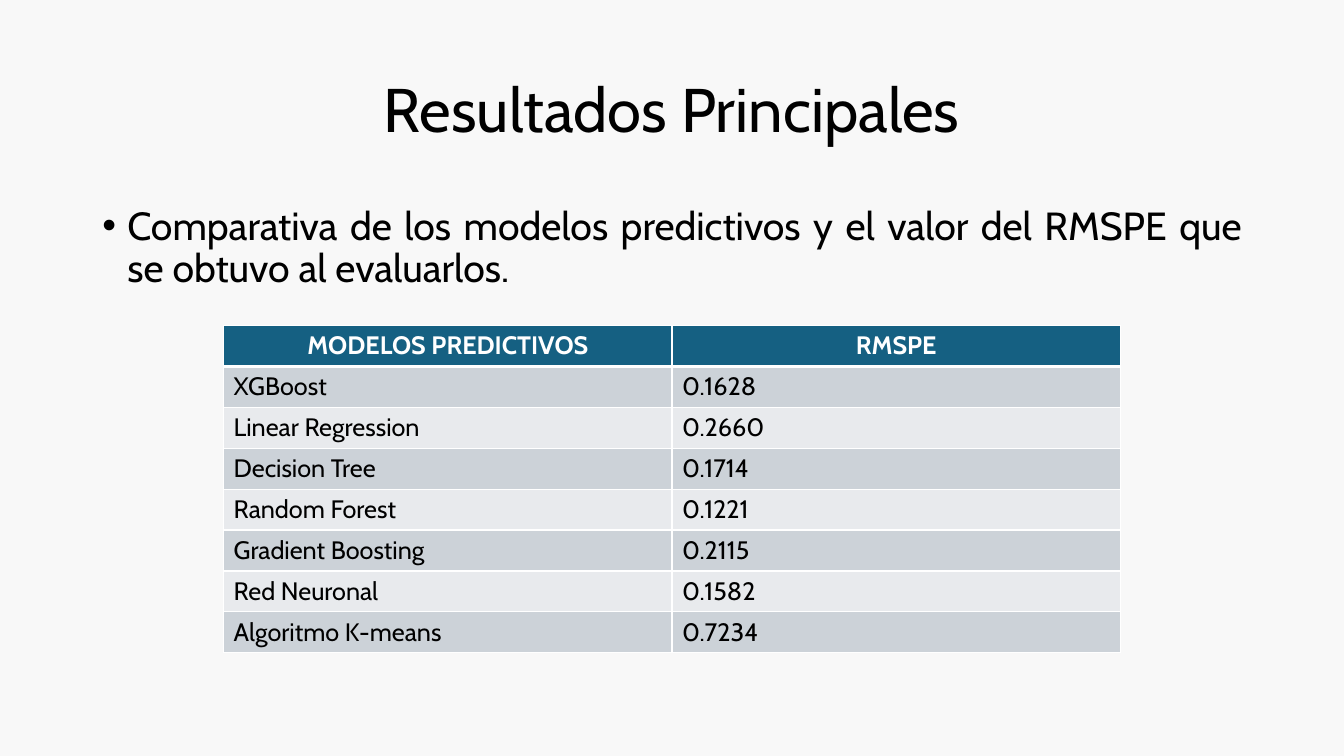
from lxml.etree import SubElement
from pptx import Presentation
from pptx.dml.color import RGBColor
from pptx.enum.text import MSO_ANCHOR, PP_ALIGN
from pptx.oxml.ns import qn
from pptx.util import Pt

PX = 9525
BLACK = RGBColor(0x00, 0x00, 0x00)
WHITE = RGBColor(0xFF, 0xFF, 0xFF)
PAPER = RGBColor(0xF8, 0xF8, 0xF8)
TEAL = RGBColor(0x15, 0x60, 0x82)
DARK = RGBColor(0xCC, 0xD2, 0xD8)
LIGHT = RGBColor(0xE8, 0xEA, 0xED)


def write(frame, text, size=18, color=BLACK, bold=False, align=PP_ALIGN.LEFT,
          anchor=MSO_ANCHOR.TOP, space=1.0, before=0):
    frame.word_wrap = True
    frame.vertical_anchor = anchor
    para = frame.paragraphs[0]
    para.alignment = align
    para.line_spacing = space
    para.space_before = Pt(before)
    run = para.add_run()
    run.text = text
    run.font.name = "Cabin"
    run.font.size = Pt(size)
    run.font.bold = bold
    run.font.color.rgb = color
    return para


def border(cell, side, width):
    line = SubElement(cell._tc.get_or_add_tcPr(), qn(f"a:ln{side}"), w=str(Pt(width)))
    fill = SubElement(line, qn("a:solidFill"))
    SubElement(fill, qn("a:srgbClr"), val=str(WHITE))


deck = Presentation()
deck.slide_width = 1280 * PX
deck.slide_height = 720 * PX
slide = deck.slides.add_slide(deck.slide_layouts[6])
slide.background.fill.solid()
slide.background.fill.fore_color.rgb = PAPER

title = slide.shapes.add_textbox(88 * PX, 38 * PX, 1104 * PX, 139 * PX)
write(title.text_frame, "Resultados Principales", size=44, align=PP_ALIGN.CENTER,
      anchor=MSO_ANCHOR.MIDDLE, space=0.9)

body = slide.shapes.add_textbox(88 * PX, 192 * PX, 1104 * PX, 457 * PX)
point = write(body.text_frame,
              "Comparativa de los modelos predictivos y el valor del RMSPE "
              "que se obtuvo al evaluarlos.",
              size=28, align=PP_ALIGN.JUSTIFY, space=0.9, before=10)
props = point._p.get_or_add_pPr()
props.set("marL", str(24 * PX))
props.set("indent", str(-24 * PX))
SubElement(props, qn("a:buFont"), typeface="Arial")
SubElement(props, qn("a:buChar"), char="•")

rows = [
    ("MODELOS PREDICTIVOS", "RMSPE"),
    ("XGBoost", "0.1628"),
    ("Linear Regression", "0.2660"),
    ("Decision Tree", "0.1714"),
    ("Random Forest", "0.1221"),
    ("Gradient Boosting", "0.2115"),
    ("Red Neuronal", "0.1582"),
    ("Algoritmo K-means", "0.7234"),
]
table = slide.shapes.add_table(len(rows), 2, 213 * PX, 310 * PX,
                               854 * PX, len(rows) * 39 * PX).table
table.horz_banding = False
for r, row in enumerate(rows):
    head = r == 0
    for c, text in enumerate(row):
        cell = table.cell(r, c)
        write(cell.text_frame, text, bold=head, color=WHITE if head else BLACK,
              align=PP_ALIGN.CENTER if head else PP_ALIGN.LEFT)
        for side in "LRTB":
            thick = (r, side) in [(0, "B"), (1, "T")]
            border(cell, side, 3 if thick else 1)
        cell.fill.solid()
        cell.fill.fore_color.rgb = TEAL if head else DARK if r % 2 else LIGHT

deck.save("out.pptx")
